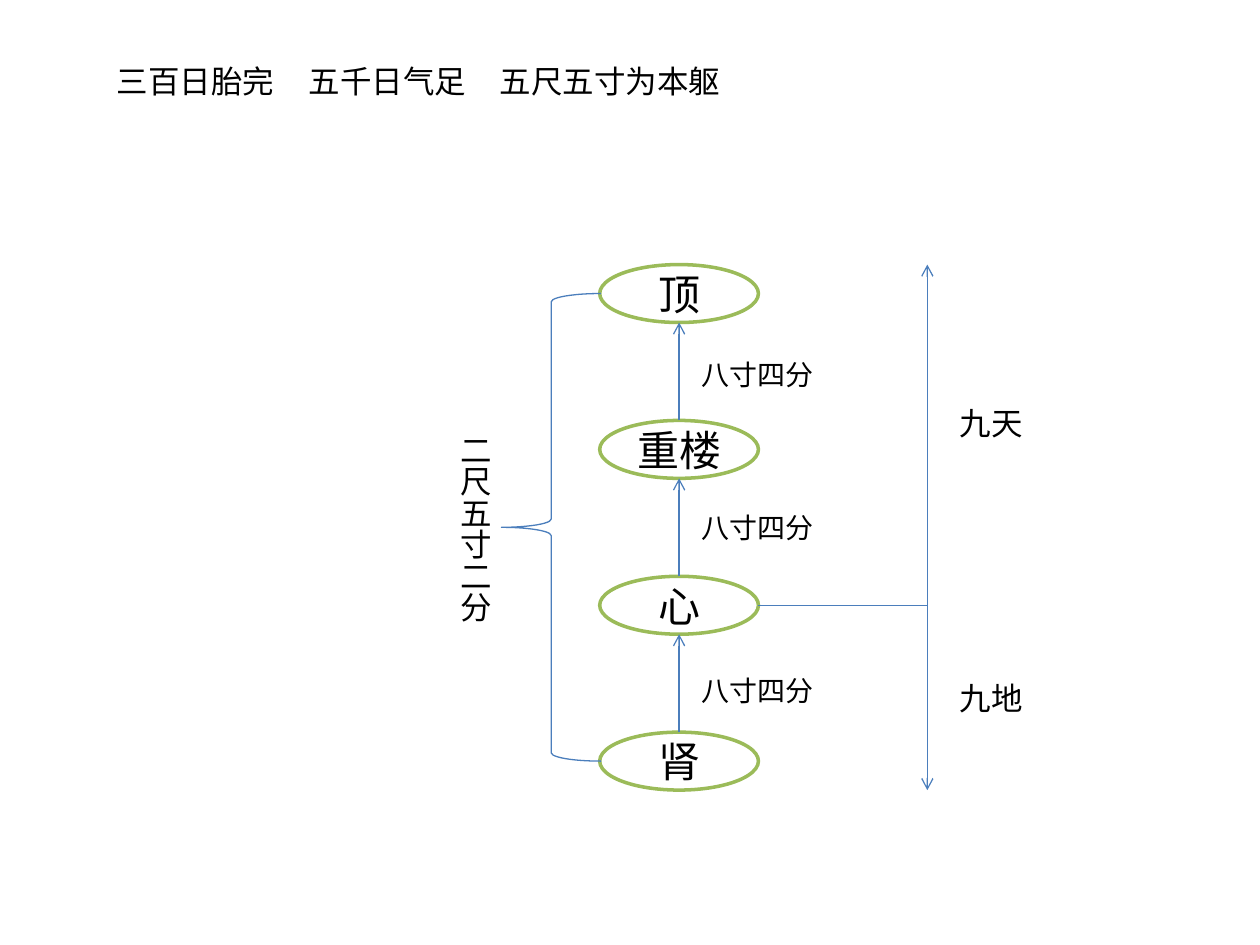
from lxml.etree import SubElement
from pptx import Presentation
from pptx.dml.color import RGBColor
from pptx.enum.shapes import MSO_CONNECTOR, MSO_SHAPE
from pptx.enum.text import MSO_ANCHOR, PP_ALIGN
from pptx.oxml.ns import qn
from pptx.util import Inches, Pt

BLACK = RGBColor(0x00, 0x00, 0x00)
WHITE = RGBColor(0xFF, 0xFF, 0xFF)
GREEN = RGBColor(0x9B, 0xBB, 0x59)
BLUE = RGBColor(0x4B, 0x7E, 0xBC)

deck = Presentation()
deck.slide_width, deck.slide_height = Inches(10), Inches(7.5)
page = deck.slides.add_slide(deck.slide_layouts[6])


def add_label(text, left, top, width, height=0.4, size=18):
    box = page.shapes.add_textbox(Inches(left), Inches(top), Inches(width), Inches(height))
    box.text_frame.word_wrap = False
    box.text_frame.text = text
    font = box.text_frame.paragraphs[0].runs[0].font
    font.name, font.size, font.color.rgb = "Calibri", Pt(size), BLACK
    return box


def add_line(x1, y1, x2, y2, arrow=True):
    line = page.shapes.add_connector(
        MSO_CONNECTOR.STRAIGHT, Inches(x1), Inches(y1), Inches(x2), Inches(y2))
    line.line.color.rgb, line.line.width = BLUE, Pt(0.75)
    if arrow:
        SubElement(line.line._get_or_add_ln(), qn("a:tailEnd"), type="arrow")
    SubElement(line._element.spPr, qn("a:effectLst"))


# Heading phrases
for index, (phrase, width) in enumerate(
        [("三百日胎完 ", 1.52), ("五千日气足 ", 1.52), ("五尺五寸为本躯 ", 2.03)]):
    add_label(phrase, 0.83 + index * 1.52, 0.44, width)

# Column of body stations, top to bottom
STATION_LEFT, STATION_WIDTH, STATION_HEIGHT = 4.76, 1.26, 0.46
FIRST_TOP, STEP = 2.1, 1.237
stations = ["顶", "重楼", "心", "肾"]
tops = [FIRST_TOP + index * STEP for index in range(len(stations))]
for name, top in zip(stations, tops):
    oval = page.shapes.add_shape(
        MSO_SHAPE.OVAL, Inches(STATION_LEFT), Inches(top),
        Inches(STATION_WIDTH), Inches(STATION_HEIGHT))
    oval.shadow.inherit = False
    oval.fill.solid()
    oval.fill.fore_color.rgb = WHITE
    oval.line.color.rgb, oval.line.width = GREEN, Pt(2)
    oval.text_frame.text = name
    oval.text_frame.vertical_anchor = MSO_ANCHOR.MIDDLE
    para = oval.text_frame.paragraphs[0]
    para.alignment = PP_ALIGN.CENTER
    font = para.runs[0].font
    font.name, font.size, font.color.rgb = "Calibri", Pt(24), BLACK

# Rising arrows between stations, with distances
center = STATION_LEFT + STATION_WIDTH / 2
for upper, lower, label_top in zip(tops, tops[1:], [2.79, 4, 5.3]):
    add_line(center, lower, center, upper + STATION_HEIGHT)
    add_label("八寸四分", 5.47, label_top, 1.1, 0.37, 16)

# Heaven and earth axis, split at the heart
AXIS = 7.36
heart = tops[2] + STATION_HEIGHT / 2
add_line(STATION_LEFT + STATION_WIDTH, heart, AXIS, heart, arrow=False)
for end, name, label_top in [(tops[0], "九天", 3.16),
                             (tops[-1] + STATION_HEIGHT, "九地", 5.34)]:
    add_line(AXIS, heart, AXIS, end)
    add_label(name, 7.52, label_top, 0.71)

# Brace over the full height
brace = page.shapes.add_shape(
    MSO_SHAPE.LEFT_BRACE, Inches(3.98), Inches(tops[0] + STATION_HEIGHT / 2),
    Inches(0.79), Inches(tops[-1] - tops[0]))
brace.shadow.inherit = False
brace.fill.background()
brace.line.color.rgb, brace.line.width = BLUE, Pt(0.75)
total = add_label("二尺五寸二分 ", 3.47, 3.35, 0.5, 1.67)
total.text_frame._txBody.bodyPr.set("vert", "eaVert")

deck.save("out.pptx")
